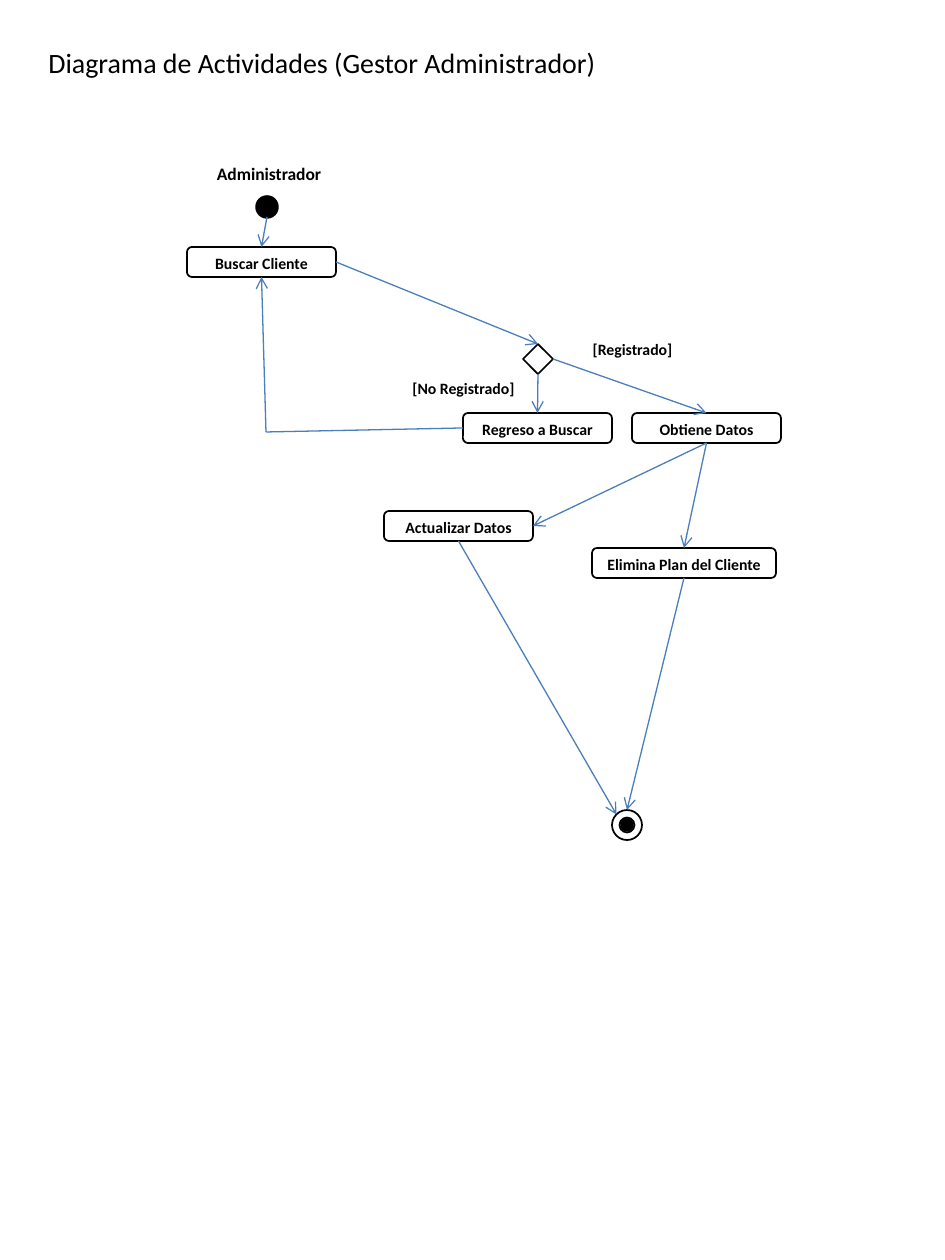
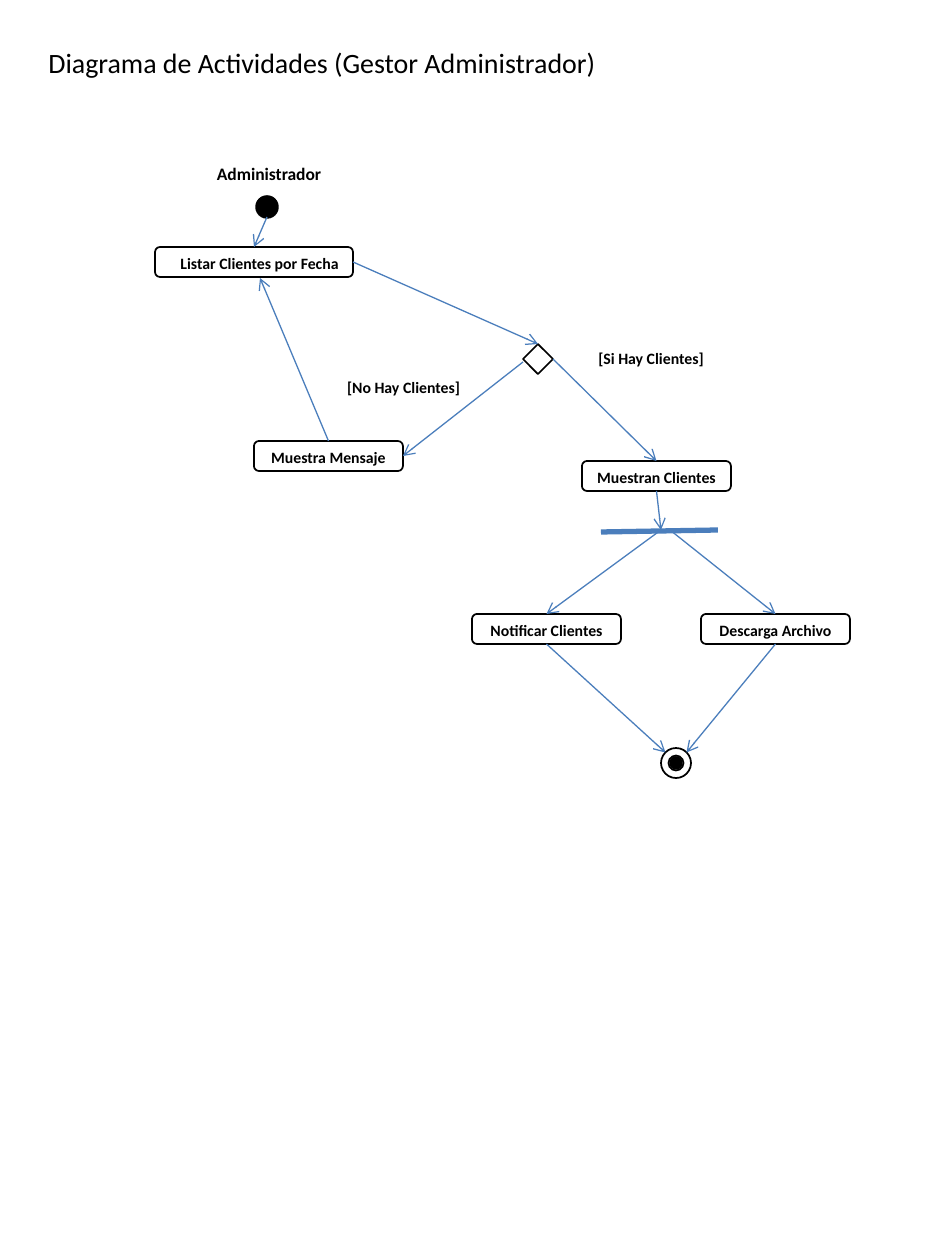
from dataclasses import dataclass

from lxml.etree import SubElement
from pptx import Presentation
from pptx.dml.color import RGBColor
from pptx.enum.shapes import MSO_CONNECTOR, MSO_SHAPE
from pptx.enum.text import MSO_ANCHOR, MSO_AUTO_SIZE, PP_ALIGN
from pptx.oxml.ns import qn
from pptx.util import Emu, Pt

BLACK = RGBColor(0x00, 0x00, 0x00)
WHITE = RGBColor(0xFF, 0xFF, 0xFF)
BLUE = RGBColor(0x4B, 0x7E, 0xBC)
FONT = "Calibri"
PX_PER_INCH = 126
TITLE = "Diagrama de Actividades (Gestor Administrador)"
TITLE_BOX = (29, 39, 586, 55)
DIAGRAM_ORIGIN = (155, 157)
NODE_W, NODE_H = 149, 30
LABEL_H = 31


def px(n):
    return Emu(round(n * 914400 / PX_PER_INCH))


def write(tf, text, size, bold=True):
    p = tf.paragraphs[0]
    p.alignment = PP_ALIGN.CENTER
    r = p.add_run()
    r.text = text
    r.font.name = FONT
    r.font.size = Pt(size)
    r.font.bold = bold
    r.font.color.rgb = BLACK


@dataclass
class Box:
    x: int
    y: int
    w: int
    h: int

    @property
    def top(self):
        return self.x + self.w / 2, self.y

    @property
    def bottom(self):
        return self.x + self.w / 2, self.y + self.h

    @property
    def left(self):
        return self.x, self.y + self.h / 2

    @property
    def right(self):
        return self.x + self.w, self.y + self.h / 2

    @property
    def top_left(self):
        return self.x + self.w * 0.15, self.y + self.h * 0.15

    @property
    def top_right(self):
        return self.x + self.w * 0.85, self.y + self.h * 0.15


@dataclass
class Diagram:
    slide: object
    x: int
    y: int

    def shape(self, kind, box, fill=WHITE, line=1):
        sp = self.slide.shapes.add_shape(
            kind, px(self.x + box.x), px(self.y + box.y), px(box.w), px(box.h))
        sp.shadow.inherit = False
        sp.fill.solid()
        sp.fill.fore_color.rgb = fill
        sp.line.color.rgb = BLACK
        sp.line.width = Pt(line)
        return sp

    def start(self, x, y):
        box = Box(x, y, 20, 20)
        self.shape(MSO_SHAPE.FLOWCHART_CONNECTOR, box, BLACK, 2)
        return box

    def end(self, x, y):
        box = Box(x, y, 30, 30)
        self.shape(MSO_SHAPE.FLOWCHART_CONNECTOR, Box(x + 10, y + 10, 10, 10), BLACK, 2)
        self.shape(MSO_SHAPE.DONUT, box)
        return box

    def decision(self, x, y):
        box = Box(x, y, 30, 30)
        self.shape(MSO_SHAPE.FLOWCHART_DECISION, box)
        return box

    def activity(self, text, x, y, w=NODE_W, indent=0):
        box = Box(x, y, w, NODE_H)
        sp = self.shape(MSO_SHAPE.FLOWCHART_ALTERNATE_PROCESS, box)
        tf = sp.text_frame
        tf.margin_left, tf.margin_top = px(indent), px(2)
        tf.margin_right = tf.margin_bottom = 0
        tf.vertical_anchor = MSO_ANCHOR.MIDDLE
        tf.word_wrap = True
        write(tf, text, 9)
        return box

    def label(self, text, x, y, w, h=LABEL_H, size=9):
        tb = self.slide.shapes.add_textbox(
            px(self.x + x), px(self.y + y), px(w), px(h))
        tf = tb.text_frame
        tf.word_wrap = True
        write(tf, text, size)

    def line(self, start, finish, arrow=True, width=0.75):
        (x1, y1), (x2, y2) = start, finish
        c = self.slide.shapes.add_connector(
            MSO_CONNECTOR.STRAIGHT, px(self.x + x1), px(self.y + y1),
            px(self.x + x2), px(self.y + y2))
        c.line.color.rgb = BLUE
        c.line.width = Pt(width)
        if arrow:
            SubElement(c.line._get_or_add_ln(), qn("a:tailEnd"), type="arrow")
        SubElement(c._element.spPr, qn("a:effectLst"))

    def opening(self):
        self.label("Administrador", 10, 0, 208, 34, 10)
        return self.start(102, 40), self.decision(368, 187)


def add_diagram_slide(prs):
    s = prs.slides.add_slide(prs.slide_layouts[5])
    sp = s.shapes.title
    sp.left, sp.top, sp.width, sp.height = map(px, TITLE_BOX)
    tf = sp.text_frame
    tf.word_wrap = True
    tf.auto_size = MSO_AUTO_SIZE.NONE
    tf.vertical_anchor = MSO_ANCHOR.TOP
    write(tf, TITLE, 16, bold=False)
    return Diagram(s, *DIAGRAM_ORIGIN)


def draw_client_search(d):
    start, decision = d.opening()
    search = d.activity("Buscar Cliente", 32, 90)
    retry = d.activity("Regreso a Buscar", 308, 256)
    data = d.activity("Obtiene Datos", 477, 256)
    update = d.activity("Actualizar Datos", 229, 354)
    remove = d.activity("Elimina Plan del Cliente", 437, 391, 184)
    end = d.end(457, 653)
    d.label("[Registrado]", 408, 177, 139)
    d.label("[No Registrado]", 219, 216, 179)
    corner = (111, 275)
    d.line(retry.left, corner, arrow=False)
    for a, b in (
        (start.bottom, search.top),
        (search.right, decision.top),
        (decision.bottom, retry.top),
        (decision.right, data.top),
        (corner, search.bottom),
        (data.bottom, update.right),
        (data.bottom, remove.top),
        (update.bottom, end.top_left),
        (remove.bottom, end.top),
    ):
        d.line(a, b)


def draw_client_list(d):
    start, decision = d.opening()
    listing = d.activity("Listar Clientes por Fecha", 0, 90, 198, indent=11)
    message = d.activity("Muestra Mensaje", 99, 284)
    clients = d.activity("Muestran Clientes", 427, 304)
    notify = d.activity("Notificar Clientes", 317, 457)
    download = d.activity("Descarga Archivo", 546, 457)
    end = d.end(506, 591)
    d.label("[Si Hay Clientes]", 407, 186, 178)
    d.label("[No Hay Clientes]", 159, 215, 179)
    fork = (506, 373)
    d.line((563, 373), (446, 375), arrow=False, width=3)
    for a, b in (
        (start.bottom, listing.top),
        (listing.right, decision.top),
        ((368, 205), message.right),
        (message.top, (105, 121)),
        (decision.right, clients.top),
        (clients.bottom, fork),
        (fork, notify.top),
        ((515, 373), download.top),
        (notify.bottom, end.top_left),
        (download.bottom, end.top_right),
    ):
        d.line(a, b)


def main():
    prs = Presentation()
    prs.slide_width, prs.slide_height = px(945), px(1260)
    for draw in (draw_client_search, draw_client_list):
        draw(add_diagram_slide(prs))
    prs.save("out.pptx")


if __name__ == "__main__":
    main()
